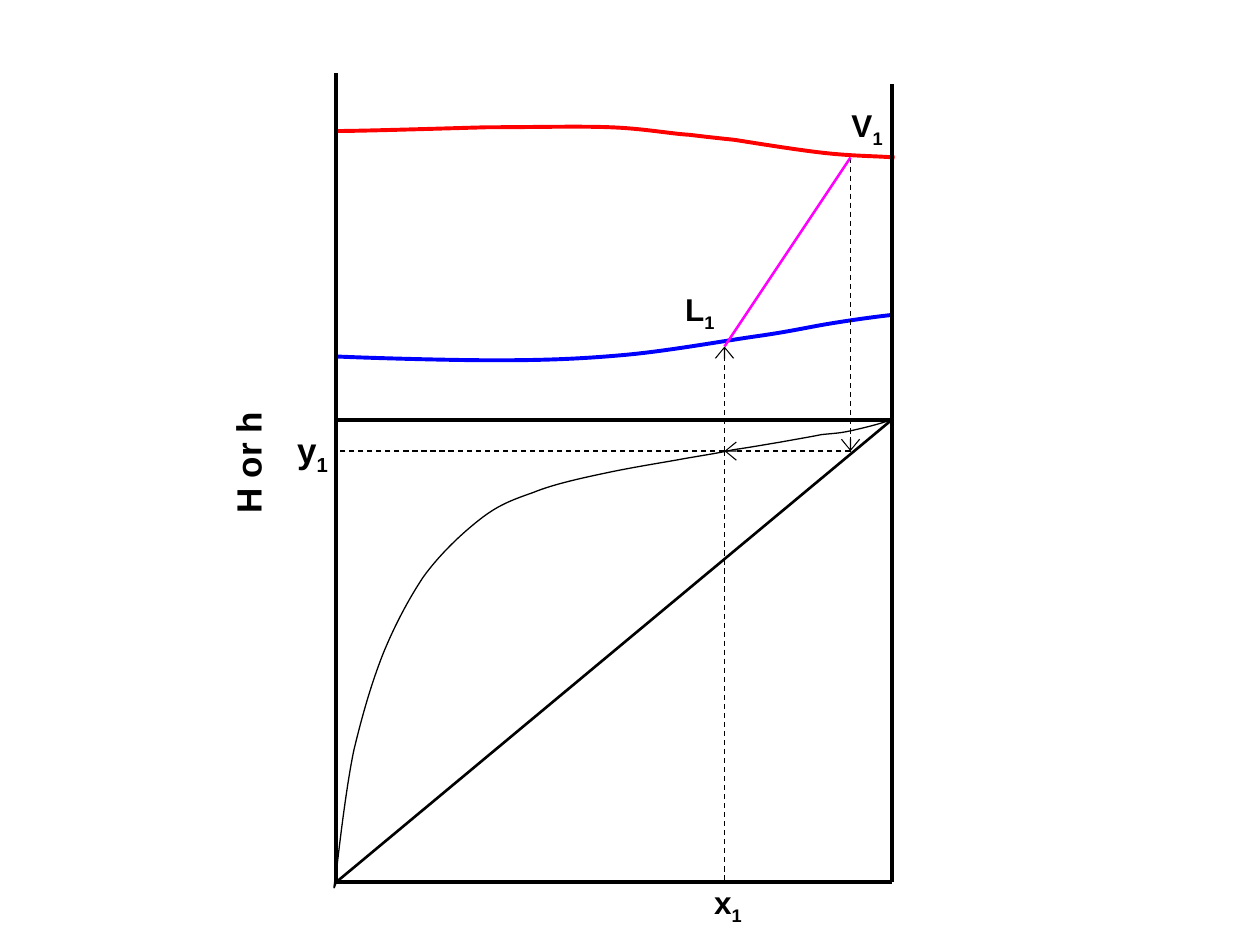
from lxml.etree import SubElement
from pptx import Presentation
from pptx.dml.color import RGBColor
from pptx.enum.dml import MSO_LINE
from pptx.enum.shapes import MSO_CONNECTOR
from pptx.enum.text import MSO_AUTO_SIZE
from pptx.oxml.ns import qn
from pptx.util import Inches, Pt

COLORS = {"axis": "000000", "liquid": "0000FF", "vapor": "FF0000", "tie": "FF00FF"}

# Shared positions of the two stacked diagrams
LEFT, RIGHT = 2.67, 7.08
MIDDLE, BOTTOM = 3.33, 7
X1, Y1 = 5.75, 3.58
V1 = (6.75, 1.25)
L1 = (X1, 2.75)

# Each curve is a start point, then two control points and an end point per segment
LIQUID_CURVE = [
    (2.67, 2.83),
    (2.88, 2.84), (3.55, 2.86), (3.93, 2.86),
    (4.31, 2.86), (4.59, 2.85), (4.93, 2.82),
    (5.28, 2.79), (5.72, 2.71), (6, 2.67),
    (6.28, 2.63), (6.4, 2.6), (6.58, 2.57),
    (6.76, 2.54), (6.98, 2.51), (7.08, 2.5),
]
VAPOR_CURVE = [
    (2.67, 1.04),
    (2.87, 1.04), (3.51, 1.02), (3.87, 1.01),
    (4.24, 1.01), (4.58, 1), (4.84, 1.01),
    (5.11, 1.02), (5.31, 1.06), (5.47, 1.07),
    (5.64, 1.09), (5.64, 1.09), (5.83, 1.11),
    (6.02, 1.14), (6.39, 1.2), (6.6, 1.22),
    (6.81, 1.24), (6.99, 1.24), (7.1, 1.25),
]
EQUILIBRIUM_CURVE = [
    (2.67, 7),
    (2.65, 7.06), (2.64, 7.09), (2.67, 6.92),
    (2.69, 6.74), (2.75, 6.23), (2.81, 5.95),
    (2.88, 5.66), (2.95, 5.42), (3.04, 5.19),
    (3.13, 4.97), (3.24, 4.76), (3.36, 4.58),
    (3.49, 4.4), (3.66, 4.24), (3.8, 4.13),
    (3.95, 4.01), (4.06, 3.97), (4.23, 3.91),
    (4.4, 3.84), (4.64, 3.79), (4.83, 3.75),
    (5.02, 3.71), (5.21, 3.68), (5.38, 3.65),
    (5.54, 3.62), (5.69, 3.6), (5.82, 3.57),
    (5.96, 3.55), (6.07, 3.53), (6.19, 3.51),
    (6.3, 3.49), (6.42, 3.47), (6.52, 3.45),
    (6.61, 3.44), (6.66, 3.44), (6.75, 3.42),
    (6.84, 3.4), (6.97, 3.37), (7.08, 3.33),
]


def set_line(line, color, width):
    line.color.rgb = RGBColor.from_string(COLORS[color])
    line.width = Pt(width)


def add_line(slide, start, end, width=2.25, color="axis", dashed=False, arrow=False):
    connector = slide.shapes.add_connector(
        MSO_CONNECTOR.STRAIGHT, *(Inches(value) for value in (*start, *end)))
    set_line(connector.line, color, width)
    if dashed:
        connector.line.dash_style = MSO_LINE.DASH
    if arrow:
        outline = connector._element.spPr.find(qn("a:ln"))
        SubElement(outline, qn("a:tailEnd"), type="arrow", w="lg", len="med")
    SubElement(connector._element.spPr, qn("a:effectLst"))


def add_curve(slide, points, color, width):
    """Draw an open Bézier curve, turning every three line ends into one segment."""
    start, *rest = [(Inches(x), Inches(y)) for x, y in points]
    builder = slide.shapes.build_freeform(*start)
    builder.add_line_segments(rest, close=False)
    curve = builder.convert_to_shape()
    outline = next(curve._element.iter(qn("a:moveTo"))).getparent()
    steps = outline.findall(qn("a:lnTo"))
    for first in range(0, len(steps), 3):
        segment = SubElement(outline, qn("a:cubicBezTo"))
        for step in steps[first:first + 3]:
            segment.append(step[0])
            outline.remove(step)
    curve.fill.background()
    curve.shadow.inherit = False
    set_line(curve.line, color, width)


def add_label(slide, box, text, size, subscript="", rotation=0):
    label = slide.shapes.add_textbox(*(Inches(value) for value in box))
    label.rotation = rotation
    frame = label.text_frame
    frame.word_wrap = True
    frame.auto_size = MSO_AUTO_SIZE.NONE
    font_format = {"name": "Arial", "size": Pt(size), "bold": True}
    for part, baseline in ((text, 0), (subscript, -25000)):
        if not part:
            continue
        run = frame.paragraphs[0].add_run()
        run.text = part
        for attribute, value in font_format.items():
            setattr(run.font, attribute, value)
        run.font.color.rgb = RGBColor.from_string(COLORS["axis"])
        if baseline:
            run.font._element.set("baseline", str(baseline))


def add_frame(slide):
    add_line(slide, (LEFT, 0.58), (LEFT, BOTTOM))
    add_line(slide, (RIGHT, 0.67), (RIGHT, BOTTOM))
    for y in (MIDDLE, BOTTOM):
        add_line(slide, (LEFT, y), (RIGHT, y))
    add_line(slide, (LEFT, BOTTOM), (RIGHT, MIDDLE), width=1.5)


def add_construction(slide):
    """Dashed path from V1 over the equilibrium point to L1, and the tie line."""
    corner, equilibrium = (V1[0], Y1), (X1, Y1)
    for start, end in ((V1, corner), (corner, equilibrium), (equilibrium, L1)):
        add_line(slide, start, end, 0.75, dashed=True, arrow=True)
    add_line(slide, L1, V1, 1.5, "tie")
    for end in ((LEFT, Y1), (X1, BOTTOM)):
        add_line(slide, equilibrium, end, 0.75, dashed=True)


def main():
    presentation = Presentation()
    presentation.slide_width = Inches(10)
    presentation.slide_height = Inches(7.5)
    slide = presentation.slides.add_slide(presentation.slide_layouts[6])

    add_curve(slide, LIQUID_CURVE, "liquid", 2.25)
    add_curve(slide, VAPOR_CURVE, "vapor", 2.25)
    add_frame(slide)
    add_curve(slide, EQUILIBRIUM_CURVE, "axis", 0.75)
    add_construction(slide)

    add_label(slide, (1.42, 3.4, 1.1, 0.44), "H or h", 20, rotation=270)
    for text, left, top, size in (("V", 6.66, 0.79, 18), ("y", 2.26, 3.35, 20),
                                  ("x", 5.57, 6.96, 18), ("L", 5.34, 2.25, 18)):
        add_label(slide, (left, top, 0.5, 0.44), text, size, "1")

    presentation.save("out.pptx")


if __name__ == "__main__":
    main()
